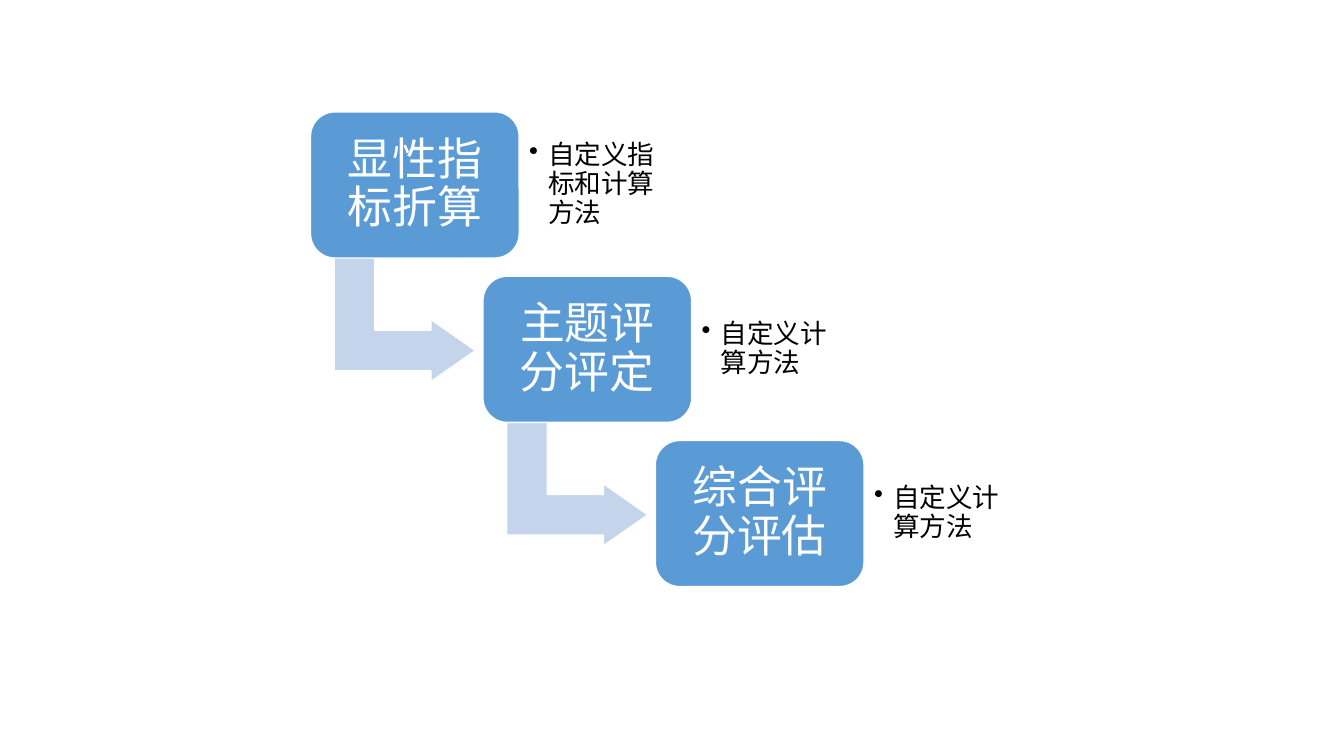
from lxml.etree import SubElement
from pptx import Presentation
from pptx.dml.color import RGBColor
from pptx.enum.shapes import MSO_SHAPE as Preset
from pptx.enum.text import MSO_ANCHOR as Anchor, PP_ALIGN as Align
from pptx.oxml.ns import qn
from pptx.util import Inches, Pt

COLORS = {"step": "5B9BD5", "arrow": "C4D5EB", "white": "FFFFFF", "black": "000000"}
FONT = "Calibri"
STEPS = [
    ("显性指标折算", "自定义指标和计算方法"),
    ("主题评分评定", "自定义计算方法"),
    ("综合评分评估", "自定义计算方法"),
]
LEFT, TOP = 3.08, 1.11
STEP_RIGHT, STEP_DOWN = 1.71, 1.63
BOX_WIDTH, BOX_HEIGHT = 2.07, 1.45


def rgb(name):
    return RGBColor.from_string(COLORS[name])


def add_filled_shape(slide, preset, left, top, width, height, fill, adjustments):
    shape = slide.shapes.add_shape(
        preset, Inches(left), Inches(top), Inches(width), Inches(height))
    shape.shadow.inherit = False
    shape.fill.solid()
    shape.fill.fore_color.rgb = rgb(fill)
    shape.line.color.rgb = rgb("white")
    shape.line.width = Pt(1)
    for index, value in enumerate(adjustments):
        shape.adjustments[index] = value
    return shape


def write_text(shape, text, size, color, align, inset):
    """Fill a shape with one wrapped, vertically centred paragraph."""
    frame = shape.text_frame
    frame.text = text
    frame.word_wrap = True
    frame.vertical_anchor = Anchor.MIDDLE
    frame.margin_left = frame.margin_right = Inches(inset)
    frame.margin_top = frame.margin_bottom = Inches(inset)
    paragraph = frame.paragraphs[0]
    paragraph.alignment = align
    paragraph.line_spacing = 0.9
    font = paragraph.runs[0].font
    font.name = FONT
    font.size = Pt(size)
    font.color.rgb = rgb(color)
    return paragraph


def add_bullet(paragraph, indent):
    properties = paragraph._p.get_or_add_pPr()
    properties.set("marL", str(Inches(indent)))
    properties.set("indent", str(-Inches(indent)))
    SubElement(properties, qn("a:buChar"), char="•")


def add_step(slide, left, top, title):
    box = add_filled_shape(slide, Preset.ROUNDED_RECTANGLE, left, top,
                           BOX_WIDTH, BOX_HEIGHT, "step", [0.167])
    write_text(box, title, 32, "white", Align.CENTER, 0.2)


def add_note(slide, left, top, note):
    label = slide.shapes.add_textbox(
        Inches(left), Inches(top), Inches(1.51), Inches(1.17))
    add_bullet(write_text(label, note, 19, "black", Align.LEFT, 0.1), 0.19)


def add_turn_arrow(slide, left, top):
    """Add the arrow that leads down and right to the next step."""
    arrow = add_filled_shape(slide, Preset.BENT_UP_ARROW, left, top,
                             1.23, 1.4, "arrow", [0.328, 0.25, 0.358])
    arrow.rotation = 90


def main():
    deck = Presentation()
    deck.slide_width, deck.slide_height = Inches(13.33), Inches(7.5)
    slide = deck.slides.add_slide(deck.slide_layouts[6])
    for index, (title, note) in enumerate(STEPS):
        left = LEFT + index * STEP_RIGHT
        top = TOP + index * STEP_DOWN
        if index < len(STEPS) - 1:
            add_turn_arrow(slide, left + 0.32, top + 1.36)
        add_step(slide, left, top, title)
        add_note(slide, left + BOX_WIDTH, top + 0.14, note)
    deck.save("out.pptx")


if __name__ == "__main__":
    main()
